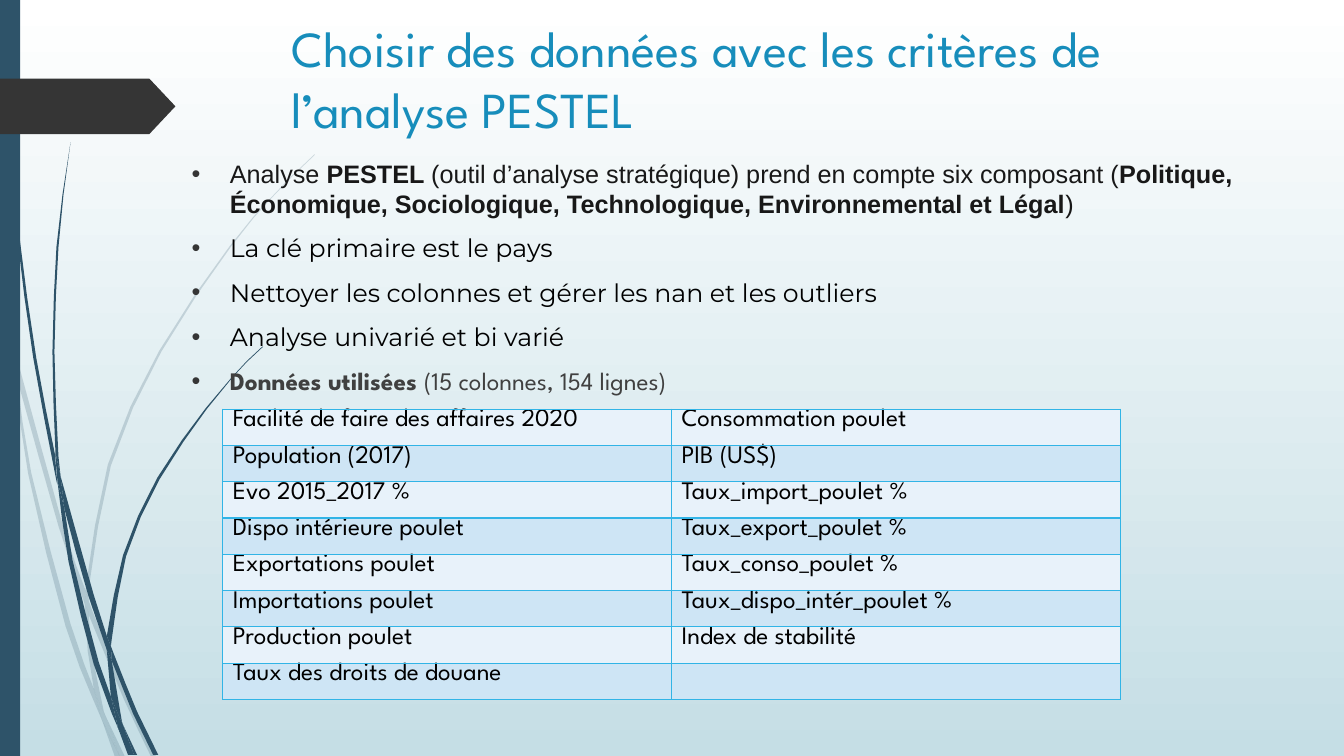
from lxml import etree
from pptx import Presentation
from pptx import util as u
from pptx.dml.color import RGBColor
from pptx.enum import shapes, text
from pptx.oxml import ns

COLORS = {"strand": "2E5369", "tag": "353535", "title": "178DBB", "dark": "181818",
          "black": "000000", "grey": "404040", "odd": "E8F2FA", "even": "CEE5F5",
          "border": "31B4E6", "sky": "FFFFFF", "ground": "C5DEE5"}
PX = 9144
SLIDE = (1333, 750)
TITLE = "Choisir des données avec les critères de l’analyse PESTEL"
POINTS = [
    ("Arial", "dark", [("Analyse ", False), ("PESTEL ", True),
                       ("(outil d’analyse stratégique) prend en compte six composant (", False),
                       ("Politique, Économique, Sociologique, Technologique, Environnemental et Légal", True),
                       (")", False)]),
    ("Montserrat", "black", [("La clé primaire est le pays", False)]),
    ("Montserrat", "black", [("Nettoyer les colonnes et gérer les nan et les outliers", False)]),
    ("Montserrat", "black", [("Analyse univarié et bi varié", False)]),
    ("League Spartan", "grey", [("Données utilisées ", True), ("(15 colonnes, 154 lignes)", False)]),
]
DATASET = [
    ("Facilité de faire des affaires 2020", "Consommation poulet"),
    ("Population (2017)", "PIB (US$)"),
    ("Evo 2015_2017 %", "Taux_import_poulet %"),
    ("Dispo intérieure poulet", "Taux_export_poulet %"),
    ("Exportations poulet", "Taux_conso_poulet %"),
    ("Importations poulet", "Taux_dispo_intér_poulet %"),
    ("Production poulet", "Index de stabilité"),
    ("Taux des droits de douane", ""),
]
PALE_STRANDS = [
    [(11, 350), (9, 322), (0, 282), (0, 299), (10, 344)],
    [(58, 522), (84, 599), (85, 586), (62, 520), (14, 345), (17, 376)],
    [(92, 607), (88, 596), (88, 610), (123, 694), (150, 751), (155, 751), (127, 692)],
    [(119, 751), (124, 751), (105, 711)],
    [(93, 683), (70, 619), (31, 469), (17, 376), (11, 350), (28, 470), (65, 621),
     (92, 693), (101, 714), (99, 707)],
    [(84, 599), (87, 646), (93, 683), (96, 692), (105, 711), (103, 706), (91, 646),
     (88, 610), (88, 608)],
    [(88, 584), (110, 462), (160, 349), (229, 245), (268, 198), (290, 175), (312, 154),
     (312, 153), (289, 175), (268, 197), (228, 244), (158, 348), (107, 461), (85, 584),
     (85, 586), (88, 596)],
    [(101, 714), (114, 751), (119, 751)],
    [(88, 608), (88, 610), (88, 596), (85, 586), (84, 599)],
    [(96, 692), (93, 683), (99, 707), (101, 714), (119, 751), (105, 711)],
]
DARK_STRANDS = [
    [(7, 110), (17, 233), (33, 355), (56, 477), (57, 481), (55, 457), (55, 453),
     (36, 355), (19, 232), (8, 109), (5, 48), (4, 0), (3, 0), (4, 48)],
    [(88, 592), (106, 645), (106, 633), (106, 631), (93, 590), (60, 472), (64, 505)],
    [(113, 649), (110, 641), (111, 656), (132, 708), (152, 749), (157, 749), (136, 706)],
    [(110, 691), (98, 657), (72, 556), (64, 505), (57, 477), (68, 557), (93, 659),
     (111, 708), (117, 722), (116, 717)],
    [(60, 472), (58, 453), (54, 349), (58, 245), (63, 193), (70, 141), (62, 193),
     (56, 245), (52, 349), (55, 449)],
    [(133, 749), (136, 749), (122, 719)],
    [(57, 477), (64, 505), (60, 472), (55, 449), (55, 453)],
    [(111, 633), (125, 552), (158, 476), (205, 406), (231, 374), (245, 359), (261, 344),
     (260, 344), (245, 358), (231, 373), (204, 405), (156, 474), (122, 551), (106, 631),
     (110, 641)],
    [(117, 722), (127, 749), (131, 749)],
    [(106, 645), (110, 691), (116, 706), (122, 719), (121, 716), (111, 656), (109, 651)],
    [(106, 645), (109, 651), (111, 656), (110, 641), (106, 631), (106, 633)],
    [(116, 706), (110, 691), (116, 717), (117, 722), (130, 749), (133, 749), (122, 719)],
]


def rgb(name):
    return RGBColor.from_string(COLORS[name])


def box(*sides):
    return [side * PX for side in sides]


def tangent(before, here, after):
    back, ahead = here - before, after - here
    scale = abs(back) * abs(ahead)
    turns_gently = (back * ahead.conjugate()).real > 0.8 * scale
    similar = abs(back) < 3 * abs(ahead) < 9 * abs(back)
    return (after - before) / 2 if turns_gently and similar else None


def smooth(anchors):
    knots = [complex(*anchor) for anchor in anchors]
    count = len(knots)
    slopes = [tangent(knots[i - 1], knots[i], knots[(i + 1) % count]) for i in range(count)]
    outline = []
    for i, start in enumerate(knots):
        end = knots[(i + 1) % count]
        outline.append(start)
        if abs(end - start) > 60:
            leave = slopes[i] or end - start
            arrive = slopes[(i + 1) % count] or end - start
            outline.append((start + end) / 2 + (leave - arrive) / 8)
    return [(round(spot.real * PX), round(spot.imag * PX)) for spot in outline]


def paint(part, color):
    part.shadow.inherit = False
    part.fill.solid()
    part.fill.fore_color.rgb = rgb(color)
    part.line.fill.background()


def add_strands(slide, strands, alpha=None):
    bundle = slide.shapes.add_group_shape()
    for anchors in strands:
        outline = smooth(anchors)
        pen = bundle.shapes.build_freeform(*outline[0])
        pen.add_line_segments(outline[1:])
        strand = pen.convert_to_shape()
        paint(strand, "strand")
        if alpha:
            fill_color = strand.fill._xPr.find(".//" + ns.qn("a:srgbClr"))
            etree.SubElement(fill_color, ns.qn("a:alpha"), val=str(alpha * 1000))


def set_font(font, face, size, color):
    font.name, font.size, font.color.rgb = face, u.Pt(size), rgb(color)


def prepare(placeholder, place):
    placeholder.left, placeholder.top, placeholder.width, placeholder.height = box(*place)
    frame = placeholder.text_frame
    frame.word_wrap = True
    frame.auto_size = text.MSO_AUTO_SIZE.NONE
    frame.vertical_anchor = text.MSO_ANCHOR.TOP
    return frame


def add_bullet(paragraph):
    props = paragraph._p.get_or_add_pPr()
    props.set("marL", str(38 * PX))
    props.set("indent", str(-38 * PX))
    bullet_color = etree.SubElement(props, ns.qn("a:buClr"))
    etree.SubElement(bullet_color, ns.qn("a:srgbClr"), val=COLORS["tag"])
    etree.SubElement(props, ns.qn("a:buFont"), typeface="Arial")
    etree.SubElement(props, ns.qn("a:buChar"), char="•")


def fill_cell(cell, label, color):
    props = cell._tc.get_or_add_tcPr()
    for side in ("lnL", "lnR", "lnT", "lnB"):
        edge = etree.SubElement(props, ns.qn("a:" + side), w=str(u.Pt(1)))
        ink = etree.SubElement(edge, ns.qn("a:solidFill"))
        etree.SubElement(ink, ns.qn("a:srgbClr"), val=COLORS["border"])
    cell.fill.solid()
    cell.fill.fore_color.rgb = rgb(color)
    cell.margin_top = cell.margin_bottom = 0
    cell.text = label
    set_font(cell.text_frame.paragraphs[0].font, "League Spartan", 18, "black")


def main():
    deck = Presentation()
    deck.slide_width, deck.slide_height = box(*SLIDE)
    slide = deck.slides.add_slide(deck.slide_layouts[1])
    backdrop = slide.background.fill
    backdrop.gradient()
    backdrop.gradient_angle = 270
    for stop, color in zip(backdrop.gradient_stops, ("sky", "ground")):
        stop.color.rgb = rgb(color)

    add_strands(slide, PALE_STRANDS, alpha=20)
    add_strands(slide, DARK_STRANDS)
    band = slide.shapes.add_shape(shapes.MSO_SHAPE.RECTANGLE, *box(0, 0, 20, 750))
    paint(band, "strand")
    tag = slide.shapes.add_shape(shapes.MSO_SHAPE.PENTAGON, *box(0, 78, 174, 55))
    tag.adjustments[0] = 0.47
    paint(tag, "tag")

    title, body = slide.placeholders
    for placeholder in (title, body):
        slide.shapes._spTree.append(placeholder._element)
    heading = prepare(title, (279, 12, 975, 140))
    heading.text = TITLE
    heading.paragraphs[0].alignment = text.PP_ALIGN.LEFT
    set_font(heading.paragraphs[0].font, "League Spartan", 36, "title")

    points = prepare(body, (180, 152, 1078, 570))
    for i, (face, color, pieces) in enumerate(POINTS):
        point = points.add_paragraph() if i else points.paragraphs[0]
        add_bullet(point)
        point.space_before = u.Pt(10)
        set_font(point.font, face, 18, color)
        for words, bold in pieces:
            run = point.add_run()
            run.text = words
            run.font.bold = bold

    rows, columns = len(DATASET), len(DATASET[0])
    dataset = slide.shapes.add_table(rows, columns, *box(221, 406, 890, rows * 36)).table
    for r, labels in enumerate(DATASET):
        for c, label in enumerate(labels):
            fill_cell(dataset.cell(r, c), label, "even" if r % 2 else "odd")
    deck.save("out.pptx")


if __name__ == "__main__":
    main()
